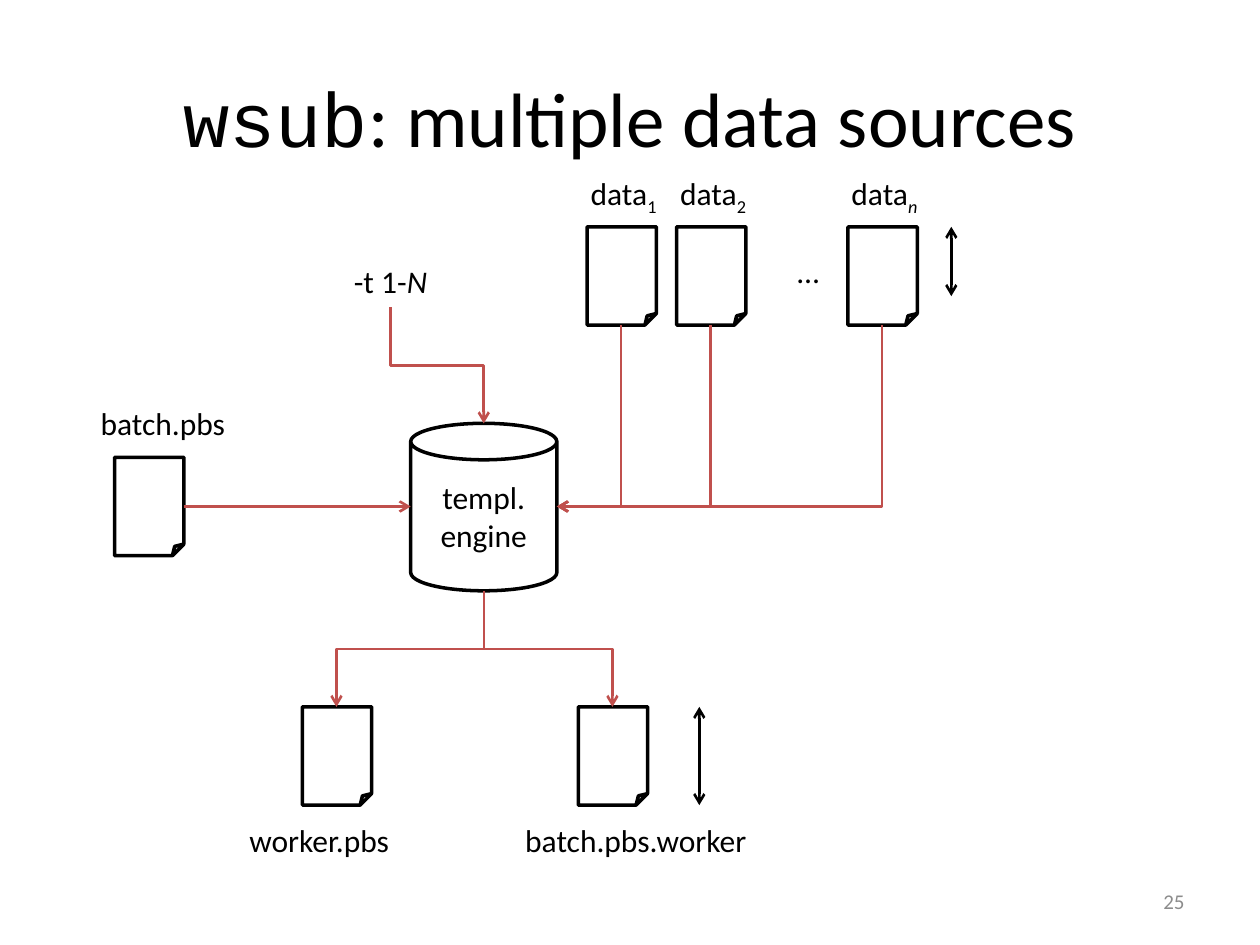
from typing import NamedTuple

from lxml import etree
from pptx import Presentation
from pptx.dml.color import RGBColor
from pptx.enum.shapes import MSO_CONNECTOR, MSO_SHAPE
from pptx.enum.text import MSO_ANCHOR, MSO_AUTO_SIZE, PP_ALIGN
from pptx.oxml.ns import qn
from pptx.util import Emu, Pt

PX = 9144  # EMU per px, at 100 px to the inch
LEFT, CENTER, RIGHT = PP_ALIGN.LEFT, PP_ALIGN.CENTER, PP_ALIGN.RIGHT
TOP, MIDDLE = MSO_ANCHOR.TOP, MSO_ANCHOR.MIDDLE
FIT_SHAPE = MSO_AUTO_SIZE.SHAPE_TO_FIT_TEXT
FOLDED_CORNER, CAN = MSO_SHAPE.FOLDED_CORNER, MSO_SHAPE.CAN
STRAIGHT, ELBOW = MSO_CONNECTOR.STRAIGHT, MSO_CONNECTOR.ELBOW
COLORS = {"ink": "000000", "paper": "FFFFFF", "flow": "C0504D", "number": "8C8C8C"}
PAGE_W, PAGE_H = 55, 78
LABEL_H = 40


class Words(NamedTuple):
    text: str
    font: str = "Calibri"
    italic: bool = False
    subscript: bool = False


class Point(NamedTuple):
    x: int
    y: int


class Document(NamedTuple):
    page: Point
    label: Point
    label_w: int
    caption: list[Words]

    @property
    def top(self) -> Point:
        return Point(self.page.x + PAGE_W // 2, self.page.y)

    @property
    def bottom(self) -> Point:
        return Point(self.page.x + PAGE_W // 2, self.page.y + PAGE_H)

    @property
    def right(self) -> Point:
        return Point(self.page.x + PAGE_W, self.page.y + PAGE_H // 2)


def px(*lengths: float) -> list[Emu]:
    return [Emu(round(length * PX)) for length in lengths]


def color(name: str) -> RGBColor:
    return RGBColor.from_string(COLORS[name])


def write(frame, *lines: list[Words], size: int = 18, ink: str = "ink",
          align=LEFT, anchor=TOP) -> None:
    frame.vertical_anchor = anchor
    for index, line in enumerate(lines):
        paragraph = frame.add_paragraph() if index else frame.paragraphs[0]
        paragraph.alignment = align
        for words in line:
            run = paragraph.add_run()
            run.text = words.text
            run.font.name = words.font
            run.font.size = Pt(size)
            run.font.color.rgb = color(ink)
            if words.italic:
                run.font.italic = True
            if words.subscript:
                run._r.get_or_add_rPr().set("baseline", "-25000")


def add_label(slide, at: Point, width: int, caption: list[Words]) -> None:
    frame = slide.shapes.add_textbox(*px(*at, width, LABEL_H)).text_frame
    frame.word_wrap = False
    frame.auto_size = FIT_SHAPE
    write(frame, caption)


def add_outline(slide, kind, at: Point, width: int, height: int):
    shape = slide.shapes.add_shape(kind, *px(*at, width, height))
    shape.shadow.inherit = False
    shape.fill.solid()
    shape.fill.fore_color.rgb = color("paper")
    shape.line.color.rgb = color("ink")
    shape.line.width = Pt(2)
    return shape


def add_document(slide, document: Document) -> None:
    add_outline(slide, FOLDED_CORNER, document.page, PAGE_W, PAGE_H)
    add_label(slide, document.label, document.label_w, document.caption)


def style_arrow(connector, ink: str, ends: tuple[str, ...]) -> None:
    connector.line.color.rgb = color(ink)
    connector.line.width = Pt(1.5)
    line = connector.line._get_or_add_ln()
    for end in ends:
        etree.SubElement(line, qn(f"a:{end}")).set("type", "arrow")
    etree.SubElement(connector._element.spPr, qn("a:effectLst"))


def add_arrow(slide, start: Point, end: Point, ink: str = "flow",
              ends: tuple[str, ...] = ("tailEnd",)) -> None:
    connector = slide.shapes.add_connector(STRAIGHT, *px(*start, *end))
    style_arrow(connector, ink, ends)


def add_bent_arrow(slide, start: Point, end: Point, preset: str) -> None:
    """Leave start downwards: the preset is a quarter turn of a sideways elbow."""
    run, drop = abs(end.x - start.x), end.y - start.y
    left = (start.x + end.x - drop) / 2
    top = (start.y + end.y - run) / 2
    to_right = end.x > start.x
    x_from, x_to = (left + drop, left) if to_right else (left, left + drop)
    connector = slide.shapes.add_connector(ELBOW, *px(x_from, top, x_to, top + run))
    properties = connector._element.spPr
    properties.find(qn("a:xfrm")).set("rot", "16200000" if to_right else "5400000")
    properties.find(qn("a:prstGeom")).set("prst", preset)
    style_arrow(connector, "flow", ("tailEnd",))


def main() -> None:
    presentation = Presentation()
    presentation.slide_width, presentation.slide_height = px(1000, 750)
    slide = presentation.slides.add_slide(presentation.slide_layouts[5])

    # Title
    title = slide.shapes.title
    title.left, title.top, title.width, title.height = px(50, 30, 900, 125)
    write(title.text_frame, [Words("wsub", "Courier New"), Words(": multiple data sources")],
          size=44, align=CENTER, anchor=MIDDLE)

    # Documents
    sources = [
        Document(Point(x, 180), Point(x - 7, 133), 74,
                 [Words("data"), Words(index, italic=index == "n", subscript=True)])
        for x, index in ((466, "1"), (537, "2"), (673, "n"))
    ]
    batch = Document(Point(91, 363), Point(70, 316), 120, [Words("batch.pbs")])
    worker = Document(Point(240, 561), Point(188, 647), 132, [Words("worker.pbs")])
    batch_worker = Document(Point(459, 561), Point(407, 647), 198,
                            [Words("batch.pbs.worker")])
    for document in (*sources, batch, worker, batch_worker):
        add_document(slide, document)
    add_label(slide, Point(623, 195), 38, [Words("…")])
    add_label(slide, Point(271, 203), 79, [Words("-t 1-"), Words("N", italic=True)])

    # Template engine
    engine = add_outline(slide, CAN, Point(326, 336), 116, 133)
    write(engine.text_frame, [Words("templ.")], [Words("engine")],
          align=CENTER, anchor=MIDDLE)
    engine_top, engine_bottom = Point(384, 336), Point(384, 469)
    engine_left, engine_right = Point(326, 402), Point(442, 402)

    # Flow into and out of the engine
    add_arrow(slide, batch.right, engine_left)
    add_bent_arrow(slide, Point(310, 244), engine_top, "bentConnector3")
    for source in sources:
        add_bent_arrow(slide, source.bottom, engine_right, "bentConnector2")
    for result in (worker, batch_worker):
        add_bent_arrow(slide, engine_bottom, result.top, "bentConnector3")

    # Length markers
    for x, top, length in ((755, 180, 55), (555, 561, 78)):
        add_arrow(slide, Point(x, top), Point(x, top + length), ink="ink",
                  ends=("headEnd", "tailEnd"))

    # Slide number
    number = slide.shapes.add_textbox(*px(717, 695, 233, 40)).text_frame
    number.word_wrap = True
    write(number, [Words("25")], size=12, ink="number", align=RIGHT, anchor=MIDDLE)

    presentation.save("out.pptx")


if __name__ == "__main__":
    main()
